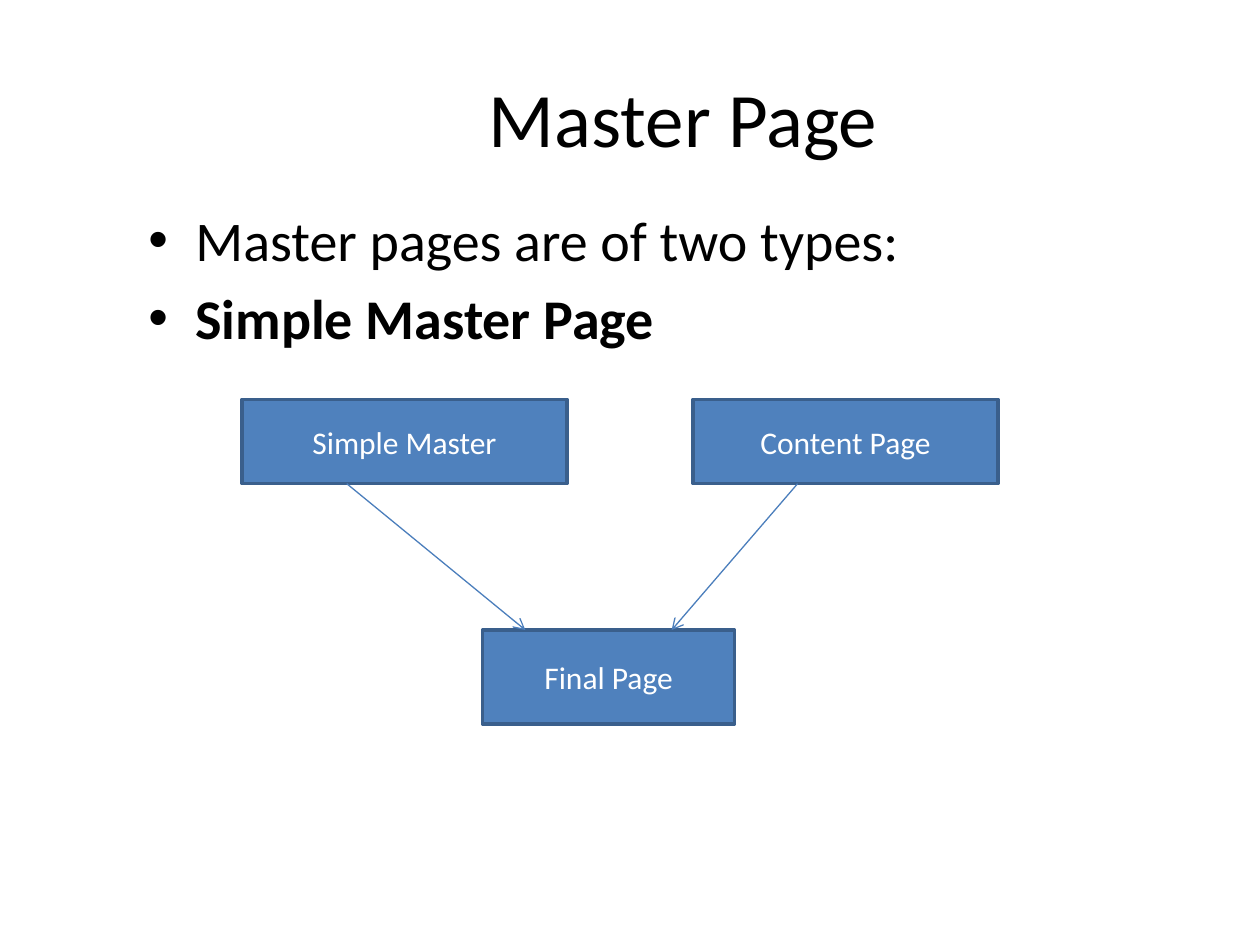
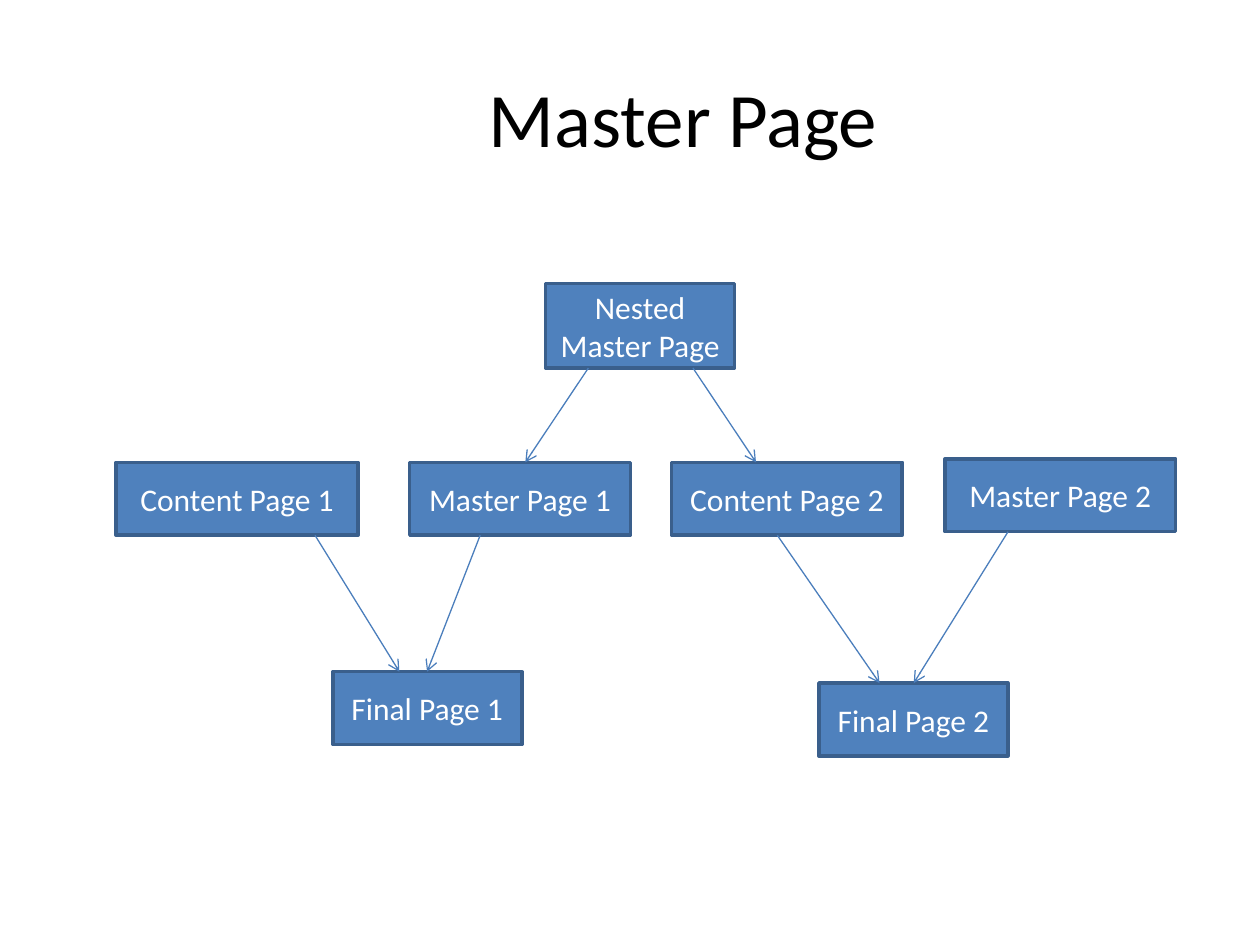
from dataclasses import dataclass

from lxml import etree
from pptx import Presentation
from pptx.dml.color import RGBColor
from pptx.enum.shapes import MSO_CONNECTOR, MSO_SHAPE
from pptx.enum.text import MSO_ANCHOR, PP_ALIGN
from pptx.oxml.ns import qn
from pptx.util import Cm, Pt

RECTANGLE = MSO_SHAPE.RECTANGLE
STRAIGHT = MSO_CONNECTOR.STRAIGHT
CENTER = PP_ALIGN.CENTER
MIDDLE = MSO_ANCHOR.MIDDLE


@dataclass(frozen=True)
class Theme:
    font: str = "Calibri"
    text: RGBColor = RGBColor(0x00, 0x00, 0x00)
    box_text: RGBColor = RGBColor(0xFF, 0xFF, 0xFF)
    box_fill: RGBColor = RGBColor(0x4F, 0x81, 0xBD)
    box_line: RGBColor = RGBColor(0x3A, 0x5F, 0x8C)
    arrow: RGBColor = RGBColor(0x4B, 0x7E, 0xBC)
    title_size: Pt = Pt(44)
    body_size: Pt = Pt(32)
    box_size: Pt = Pt(18)
    bullet_gap: Pt = Pt(6.4)
    box_border: Pt = Pt(2)
    arrow_width: Pt = Pt(0.75)


theme = Theme()

# Content: all lengths in centimetres
# boxes: name -> left, top, width, height
# arrows: source, x on its bottom edge, target, x on its top edge
slides = [
    {
        "bullets": [("Master pages are of two types:", False), ("Simple Master Page", True)],
        "boxes": {
            "Simple Master": (4.88, 8.05, 6.55, 1.7),
            "Content Page": (13.97, 8.05, 6.15, 1.7),
            "Final Page": (9.73, 12.7, 5.08, 1.9),
        },
        "arrows": [
            ("Simple Master", 6.99, "Final Page", 10.59),
            ("Content Page", 16.08, "Final Page", 13.54),
        ],
    },
    {
        "bullets": [],
        "boxes": {
            "Content Page 1": (2.34, 9.32, 4.88, 1.47),
            "Master Page 1": (8.26, 9.32, 4.45, 1.47),
            "Content Page 2": (13.54, 9.32, 4.65, 1.47),
            "Master Page 2": (19.05, 9.25, 4.65, 1.47),
            "Final Page 1": (6.71, 13.54, 3.81, 1.47),
            "Final Page 2": (16.51, 13.77, 3.81, 1.47),
            "Nested Master Page": (11, 5.72, 3.81, 1.7),
        },
        "arrows": [
            ("Content Page 1", 6.35, "Final Page 1", 8.05),
            ("Master Page 1", 9.68, "Final Page 1", 8.61),
            ("Master Page 2", 20.32, "Final Page 2", 18.42),
            ("Content Page 2", 15.67, "Final Page 2", 17.73),
            ("Nested Master Page", 11.86, "Master Page 1", 10.59),
            ("Nested Master Page", 13.97, "Content Page 2", 15.24),
        ],
    },
]


def add_span(para, text, size, color, bold=False):
    span = para.add_run()
    span.text = text
    span.font.name = theme.font
    span.font.size = size
    span.font.bold = bold
    span.font.color.rgb = color


deck = Presentation()
deck.slide_width, deck.slide_height = Cm(25.4), Cm(19.05)
blank = deck.slide_layouts[6]

for content in slides:
    page = deck.slides.add_slide(blank)

    # Title
    title = page.shapes.add_textbox(Cm(2.74), Cm(0.76), Cm(22.07), Cm(3.18))
    title.text_frame.word_wrap = True
    title.text_frame.vertical_anchor = MIDDLE
    para = title.text_frame.paragraphs[0]
    para.alignment = CENTER
    add_span(para, "Master Page", theme.title_size, theme.text)

    # Bulleted text
    if content["bullets"]:
        body = page.shapes.add_textbox(Cm(2.74), Cm(4.01), Cm(22.07), Cm(13.97))
        body.text_frame.word_wrap = True
        for index, (text, bold) in enumerate(content["bullets"]):
            para = body.text_frame.add_paragraph() if index else body.text_frame.paragraphs[0]
            para.space_before = theme.bullet_gap
            add_span(para, text, theme.body_size, theme.text, bold)
            properties = para._p.get_or_add_pPr()
            properties.set("marL", str(Cm(0.95)))
            properties.set("indent", str(-Cm(0.95)))
            etree.SubElement(properties, qn("a:buFont"), typeface="Arial")
            etree.SubElement(properties, qn("a:buChar"), char="•")

    # Boxes
    boxes = {}
    for name, place in content["boxes"].items():
        box = page.shapes.add_shape(RECTANGLE, *map(Cm, place))
        box.shadow.inherit = False
        box.fill.solid()
        box.fill.fore_color.rgb = theme.box_fill
        box.line.color.rgb = theme.box_line
        box.line.width = theme.box_border
        box.text_frame.word_wrap = True
        box.text_frame.vertical_anchor = MIDDLE
        para = box.text_frame.paragraphs[0]
        para.alignment = CENTER
        add_span(para, name, theme.box_size, theme.box_text)
        boxes[name] = box

    # Arrows run from the bottom of one box to the top of another
    for source, start_x, target, end_x in content["arrows"]:
        start_y = boxes[source].top + boxes[source].height
        arrow = page.shapes.add_connector(
            STRAIGHT, Cm(start_x), start_y, Cm(end_x), boxes[target].top
        )
        arrow.line.color.rgb = theme.arrow
        arrow.line.width = theme.arrow_width
        etree.SubElement(arrow.line._get_or_add_ln(), qn("a:tailEnd"), type="arrow")
        etree.SubElement(arrow._element.spPr, qn("a:effectLst"))

deck.save("out.pptx")
